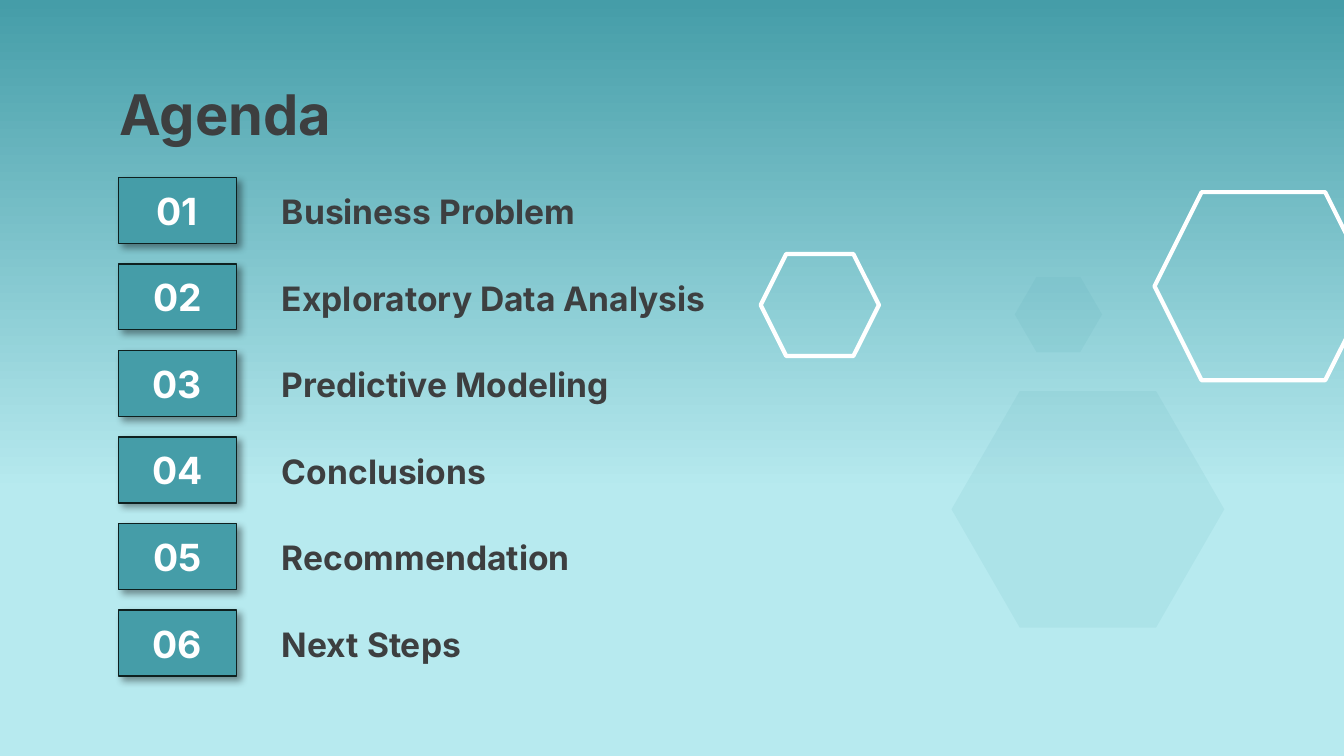
from lxml import etree
from pptx import Presentation
from pptx.dml.color import RGBColor
from pptx.enum.shapes import MSO_SHAPE as Shape
from pptx.enum.text import MSO_ANCHOR as Anchor, PP_ALIGN as Align
from pptx.oxml import parse_xml
from pptx.oxml.ns import nsdecls, qn
from pptx.util import Inches, Pt

TEAL, PALE, DARK, WHITE = "459DA8", "B7EAEF", "3D3F40", "FFFFFF"
TOPICS = ["Business Problem", "Exploratory Data Analysis",
          "Predictive Modeling", "Conclusions", "Recommendation",
          "Next Steps"]
FIRST, LAST, HIGH = 1.32, 4.54, 0.49


def color(code):
    return RGBColor.from_string(code)


def write(shape, text, size=18, fill=DARK, align=Align.LEFT,
          anchor=Anchor.TOP):
    frame = shape.text_frame
    frame.word_wrap = True
    frame.vertical_anchor = anchor
    frame.margin_left = frame.margin_right = Inches(0.1)
    frame.margin_top = frame.margin_bottom = Inches(0.1)
    para = frame.paragraphs[0]
    para.alignment = align
    run = para.add_run()
    run.text = text
    run.font.name = "Inter"
    run.font.size = Pt(size)
    run.font.bold = True
    run.font.color.rgb = color(fill)


def add_text(slide, box, text, **style):
    write(slide.shapes.add_textbox(*map(Inches, box)), text, **style)


def cast_shadow(shape):
    """Add a soft black shadow to the lower right."""
    shape.shadow.inherit = False
    effects = shape._element.spPr.find(qn("a:effectLst"))
    effects.append(parse_xml(
        f'<a:outerShdw {nsdecls("a")} blurRad="{Pt(4)}" dist="{Pt(3)}" '
        'dir="2700000" algn="bl" rotWithShape="0"><a:srgbClr val="000000">'
        '<a:alpha val="40000"/></a:srgbClr></a:outerShdw>'))


def add_badge(slide, top, label):
    badge = slide.shapes.add_shape(
        Shape.RECTANGLE, *map(Inches, (0.88, top, 0.88, HIGH)))
    badge.fill.solid()
    badge.fill.fore_color.rgb = color(TEAL)
    badge.line.color.rgb = color("0E201F")
    badge.line.width = Pt(0.75)
    cast_shadow(badge)
    write(badge, label, size=20, fill=WHITE, align=Align.CENTER,
          anchor=Anchor.MIDDLE)


def add_ring(slide, *box):
    ring = slide.shapes.add_shape(Shape.HEXAGON, *map(Inches, box))
    ring.shadow.inherit = False
    ring.fill.background()
    ring.line.color.rgb = color(WHITE)
    ring.line.width = Pt(2.25)


def add_tint(slide, left, top, width, height):
    """Add a faint solid hexagon with corners at the quarter points."""
    spots = [(0.25, 0), (0, 0.5), (0.25, 1), (0.75, 1), (1, 0.5), (0.75, 0)]
    points = [(Inches(left + x * width), Inches(top + y * height))
              for x, y in spots]
    outline = slide.shapes.build_freeform(*points[0])
    outline.add_line_segments(points[1:], close=True)
    tint = outline.convert_to_shape()
    tint.shadow.inherit = False
    tint.line.fill.background()
    tint.fill.solid()
    tint.fill.fore_color.rgb = color(TEAL)
    shade = tint._element.spPr.find(qn("a:solidFill"))[0]
    etree.SubElement(shade, qn("a:alpha"), val="9000")


def paint_back(slide):
    fill = slide.background.fill
    fill.gradient()
    fill.gradient_angle = 270
    for stop, (place, code) in zip(fill.gradient_stops,
                                   [(0, TEAL), (0.65, PALE)]):
        stop.position = place
        stop.color.rgb = color(code)


def main():
    deck = Presentation()
    deck.slide_width = Inches(10)
    deck.slide_height = Inches(10 * 9 / 16)
    slide = deck.slides.add_slide(deck.slide_layouts[6])
    paint_back(slide)
    add_text(slide, (0.79, 0.49, 8.43, 0.63), "Agenda", size=30)
    pitch = (LAST - FIRST) / (len(TOPICS) - 1)
    for i, topic in enumerate(TOPICS):
        top = FIRST + i * pitch
        add_badge(slide, top, f"{i + 1:02}")
        add_text(slide, (2, top, 3.57, HIGH), topic)
    add_ring(slide, 5.66, 1.89, 0.88, 0.76)
    add_ring(slide, 8.59, 1.43, 1.62, 1.4)
    add_tint(slide, 7.55, 2.06, 0.65, 0.56)
    add_tint(slide, 7.08, 2.91, 2.03, 1.76)
    deck.save("out.pptx")


if __name__ == "__main__":
    main()
